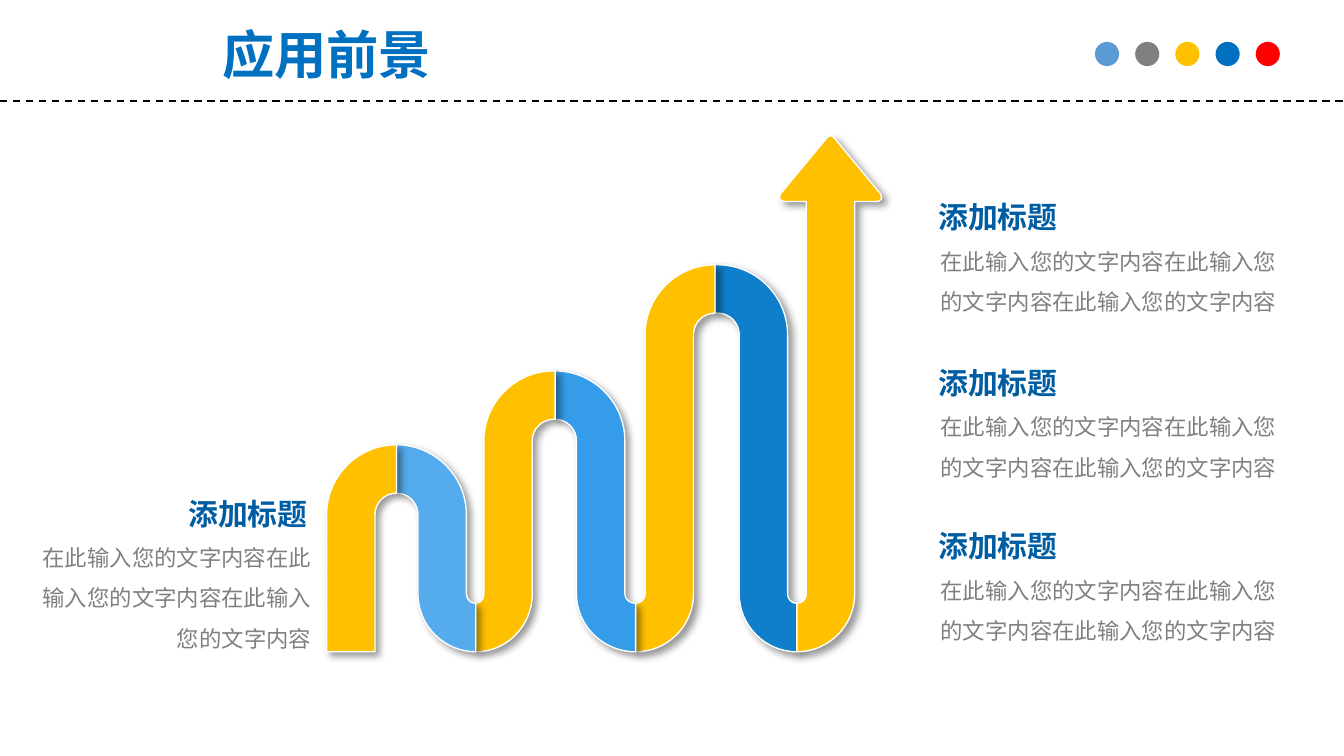
from lxml.etree import SubElement
from pptx import Presentation
from pptx.dml.color import RGBColor
from pptx.enum.dml import MSO_LINE
from pptx.enum.shapes import MSO_CONNECTOR, MSO_SHAPE
from pptx.enum.text import MSO_AUTO_SIZE, PP_ALIGN
from pptx.oxml.ns import qn
from pptx.util import Emu, Inches, Pt

# The slide is a grid of square cells, 100 to its width
COLS, ROWS = 100, 56.25
CELL = Inches(10) / COLS
FONT = "Noto Sans CJK SC"
COLORS = {
    "title": "0070C0", "heading": "005DA2", "body": "808080",
    "rule": "000000", "edge": "FFFFFF", "gold": "FFC000",
    "fall1": "55ACEC", "fall2": "349CE8", "fall3": "0F7FCC",
}
DOTS = ["5B9BD5", "808080", "FFC000", "0070C0", "FF0000"]
BODY = "在此输入您的文字内容" * 3

# Ribbon: radii of its bends, and the line its feet stand on
OUTER, INNER = 5.2, 1.6
FOOT_OUTER, FOOT_INNER = 4.3, 0.7
BASE = 48.5
ROUND = 0.55  # handle length of a quarter ellipse, as a share of its radius
# Centre of the rising bend, seam, centre of the falling bend, top
PEAKS = [(29.5, 29.5, 29.5, 33.1), (41.2, 41.3, 41.3, 27.6),
         (53.2, 53.2, 53.4, 19.7)]
VALLEYS = [35.4, 47.3, 59.3]


def cells(n):
    return Emu(round(n * CELL))


def rgb(name):
    return RGBColor.from_string(COLORS.get(name, name))


def add_text(shapes, box, text, size, color, bold=False,
             align=PP_ALIGN.LEFT, spacing=None):
    tf = shapes.add_textbox(*map(cells, box)).text_frame
    tf.word_wrap = True
    tf.auto_size = MSO_AUTO_SIZE.SHAPE_TO_FIT_TEXT
    p = tf.paragraphs[0]
    p.alignment = align
    if spacing:
        p.line_spacing = spacing
    r = p.add_run()
    r.text = text
    r.font.size, r.font.bold, r.font.name = Pt(size), bold, FONT
    r.font.color.rgb = rgb(color)
    SubElement(r.font._element, qn("a:ea"), typeface=FONT)


def add_note(s, heading_box, body_box, align):
    group = s.shapes.add_group_shape()
    add_text(group.shapes, body_box, BODY, 12, "body", align=align, spacing=1.5)
    add_text(group.shapes, heading_box, "添加标题", 16, "heading", bold=True,
             align=PP_ALIGN.CENTER)


def add_dot(s, x, y, size, color):
    sp = s.shapes.add_shape(MSO_SHAPE.OVAL, *map(cells, (x, y, size, size)))
    sp.shadow.inherit = False
    sp.fill.solid()
    sp.fill.fore_color.rgb = rgb(color)
    sp.line.fill.background()


def add_rule(s, y):
    line = s.shapes.add_connector(MSO_CONNECTOR.STRAIGHT, 0, cells(y),
                                  cells(COLS), cells(y))
    line.line.color.rgb = rgb("rule")
    line.line.width = Pt(1)
    line.line.dash_style = MSO_LINE.DASH
    SubElement(line._element.spPr, qn("a:effectLst"))


def add_shadow(sp):
    sp.shadow.inherit = False
    effects = sp._element.spPr.find(qn("a:effectLst"))
    shadow = SubElement(effects, qn("a:outerShdw"), blurRad=str(Pt(4)),
                        dist=str(Pt(3)), dir="2700000", algn="tl",
                        rotWithShape="0")
    color = SubElement(shadow, qn("a:srgbClr"), val="000000")
    SubElement(color, qn("a:alpha"), val="40000")


def add_ribbon(s, segments, color):
    """Each segment is one point for a line, or three for a Bezier curve."""
    ends = [tuple(map(cells, segment[-1])) for segment in segments]
    builder = s.shapes.build_freeform(*ends[0])
    builder.add_line_segments(ends[1:], close=True)
    sp = builder.convert_to_shape()
    lines = list(sp._element.iter(qn("a:lnTo")))
    for line, segment in zip(lines, segments[1:]):
        if len(segment) == 3:
            line.tag = qn("a:cubicBezTo")
            line.remove(line[0])
            for x, y in segment:
                SubElement(line, qn("a:pt"), x=str(cells(x) - sp.left),
                           y=str(cells(y) - sp.top))
    sp.fill.solid()
    sp.fill.fore_color.rgb = rgb(color)
    sp.line.color.rgb = rgb("edge")
    sp.line.width = Pt(0.75)
    add_shadow(sp)


def bend(cx, cy, outer, inner, seam):
    """Quarter turn out to the seam along one edge and back along the other."""
    (rx, ry), (qx, qy) = outer, inner
    corners = dict.fromkeys([(cx, cy + ry), (seam, cy + ry),
                             (seam, cy + qy), (cx, cy + qy)])
    return [
        [(cx + rx, cy)],
        [(cx + rx, cy + ROUND * ry), (cx + ROUND * rx, cy + ry), (cx, cy + ry)],
        *[[corner] for corner in list(corners)[1:]],
        [(cx + ROUND * qx, cy + qy), (cx + qx, cy + ROUND * qy), (cx + qx, cy)],
    ]


def foot(valley, far, near):
    return bend(valley, BASE - FOOT_OUTER, (far - valley, FOOT_OUTER),
                (near - valley, FOOT_INNER), valley)


def hump(peak, seam, top, side):
    return bend(peak, top + OUTER, (side * OUTER, -OUTER),
                (side * INNER, -INNER), seam)


def limb(valley, peak, seam, top, side):
    """Ribbon from a valley to a peak; side is -1 left of the peak, 1 right."""
    return (foot(valley, peak + side * INNER, peak + side * OUTER)
            + hump(peak, seam, top, side))


def arrow(valley, axis):
    head = [
        [(-1.8, 15)], [(-3.4, 15)],
        [(-3.8, 15), (-3.9, 14.7), (-3.7, 14.4)], [(-0.3, 10.3)],
        [(-0.2, 10.2), (-0.1, 10.1), (0, 10.1)],
        [(0.1, 10.1), (0.2, 10.2), (0.3, 10.3)], [(3.7, 14.4)],
        [(3.9, 14.7), (3.8, 15), (3.4, 15)], [(1.8, 15)],
    ]
    return foot(valley, axis + 1.8, axis - 1.8) + [
        [(axis + x, y) for x, y in segment] for segment in head]


def add_growth_arrow(s):
    # Falling and rising limbs, from the highest peak back to the start
    for i in (2, 1, 0):
        up, seam, down, top = PEAKS[i]
        add_ribbon(s, limb(VALLEYS[i], down, seam, top, 1), f"fall{i + 1}")
        if i:
            rise = limb(VALLEYS[i - 1], up, seam, top, -1)
        else:
            rise = [[(up - INNER, BASE)], [(up - OUTER, BASE)]]
            rise += hump(up, seam, top, -1)
        add_ribbon(s, rise, "gold")
    add_ribbon(s, arrow(VALLEYS[-1], 61.8), "gold")


def main():
    prs = Presentation()
    prs.slide_width, prs.slide_height = cells(COLS), cells(ROWS)
    s = prs.slides.add_slide(prs.slide_layouts[6])

    # Header
    add_text(s.shapes, (13.35, 1.2, 21.9, 5.7), "应用前景", 28, "title",
             bold=True, align=PP_ALIGN.CENTER)
    add_rule(s, 7.5)
    for i, color in enumerate(DOTS):
        add_dot(s, 81.47 + 2.99 * i, 3.12, 1.8, color)

    add_growth_arrow(s)

    # Notes: one to the left of the ribbon, three to its right
    add_note(s, (12.15, 36.4, 12.6, 3.7), (1.45, 39, 22.7, 10.1),
             PP_ALIGN.RIGHT)
    for y in (14.3, 26.64, 38.8):
        add_note(s, (66.6, y, 15.3, 3.7), (69, y + 2.64, 27.4, 7.1),
                 PP_ALIGN.LEFT)

    prs.save("out.pptx")


if __name__ == "__main__":
    main()
